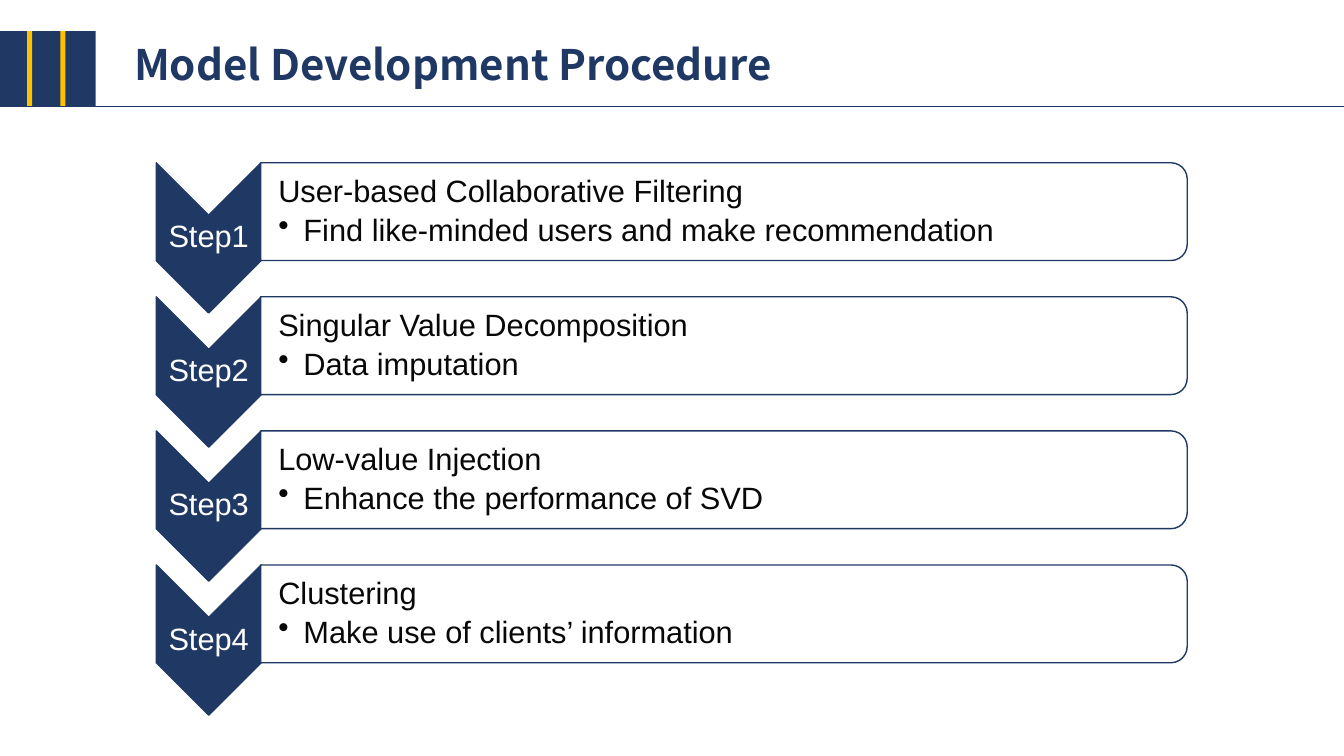
from lxml import etree
from pptx import Presentation
from pptx.dml.color import RGBColor
from pptx.enum.shapes import MSO_CONNECTOR as Connector, MSO_SHAPE as Shape
from pptx.enum.text import MSO_ANCHOR as Anchor, MSO_AUTO_SIZE as AutoSize, PP_ALIGN as Align
from pptx.oxml.ns import qn
from pptx.util import Inches, Pt

NAVY, GOLD, WHITE, INK = "1F3864", "FFC000", "FFFFFF", "080808"
WIDTH, HEIGHT = 13.33, 7.5
BAND_TOP, BAND_HEIGHT = 0.31, 0.75
FIRST_ROW, ROW_PITCH = 2.1, 1.33
CHEVRON_X, CARD_X = 2.07, 7.18

STEPS = [
    ("User-based Collaborative Filtering", "Find like-minded users and make recommendation"),
    ("Singular Value Decomposition", "Data imputation"),
    ("Low-value Injection", "Enhance the performance of SVD"),
    ("Clustering", "Make use of clients’ information"),
]


def color(value):
    return RGBColor.from_string(value)


def centered(x, y, width, height):
    return [Inches(n) for n in (x - width / 2, y - height / 2, width, height)]


presentation = Presentation()
presentation.slide_width, presentation.slide_height = Inches(WIDTH), Inches(HEIGHT)
slide = presentation.slides.add_slide(presentation.slide_layouts[5])
shapes = slide.shapes

# Header band with two gold stripes
for left, width, fill in [(0, 0.95, NAVY), (0.27, 0.05, GOLD), (0.6, 0.05, GOLD)]:
    bar = shapes.add_shape(Shape.RECTANGLE, Inches(left), Inches(BAND_TOP),
                           Inches(width), Inches(BAND_HEIGHT))
    bar.shadow.inherit = False
    bar.fill.solid()
    bar.fill.fore_color.rgb = color(fill)
    bar.line.fill.background()

# Rule under the header
rule_y = Inches(BAND_TOP + BAND_HEIGHT)
rule = shapes.add_connector(Connector.STRAIGHT, 0, rule_y, Inches(WIDTH), rule_y)
rule.line.color.rgb = color(NAVY)
rule.line.width = Pt(0.5)
etree.SubElement(rule.element.spPr, qn("a:effectLst"))

# Title
title = shapes.title
title.left, title.top, title.width, title.height = [Inches(n) for n in (1.23, 0.38, 7.05, 0.56)]
title.text_frame.text = "Model Development Procedure"
title.text_frame.auto_size = AutoSize.NONE
title.text_frame.vertical_anchor = Anchor.MIDDLE
paragraph = title.text_frame.paragraphs[0]
paragraph.alignment, paragraph.line_spacing = Align.LEFT, 0.9
title_format = {"name": "Noto Sans CJK SC", "size": Pt(30), "bold": True}
for name, value in title_format.items():
    setattr(paragraph.font, name, value)
paragraph.font.color.rgb = color(NAVY)

# Steps: chevron and card, each with its text
for row, (heading, detail) in enumerate(STEPS):
    card_y = FIRST_ROW + row * ROW_PITCH
    chevron_y = card_y + 0.26
    for kind, x, y, width, height, fill in [
        (Shape.CHEVRON, CHEVRON_X, chevron_y, 1.49, 1.04, NAVY),
        (Shape.ROUND_2_SAME_RECTANGLE, CARD_X, card_y, 0.97, 9.19, WHITE),
    ]:
        shape = shapes.add_shape(kind, *centered(x, y, width, height))
        shape.rotation = 90
        shape.shadow.inherit = False
        shape.fill.solid()
        shape.fill.fore_color.rgb = color(fill)
        shape.line.color.rgb = color(NAVY)
        shape.line.width = Pt(1)

    for x, y, width, height, inset, lines, ink in [
        (CHEVRON_X, chevron_y, 1.04, 0.45, 0.02, [f"Step{row + 1}"], WHITE),
        (CARD_X - 0.02, card_y, 9.14, 0.87, 0.17, [heading, detail], INK),
    ]:
        frame = shapes.add_textbox(*centered(x, y, width, height)).text_frame
        frame_format = {
            "word_wrap": True, "vertical_anchor": Anchor.MIDDLE, "margin_left": Inches(inset),
            "margin_right": Inches(0.02), "margin_top": Inches(0.02), "margin_bottom": Inches(0.02),
        }
        for name, value in frame_format.items():
            setattr(frame, name, value)
        frame.text = "\n".join(lines)
        for index, paragraph in enumerate(frame.paragraphs):
            paragraph.alignment = Align.LEFT if len(lines) > 1 else Align.CENTER
            paragraph.line_spacing = 0.9
            if index:
                paragraph.space_before = Pt(4)
                properties = paragraph._p.get_or_add_pPr()
                properties.set("marL", str(Inches(0.25)))
                properties.set("indent", str(Inches(-0.25)))
                etree.SubElement(properties, qn("a:buChar"), char="•")
            for name, value in {"name": "Arial", "size": Pt(22)}.items():
                setattr(paragraph.font, name, value)
            paragraph.font.color.rgb = color(ink)

presentation.save("out.pptx")
